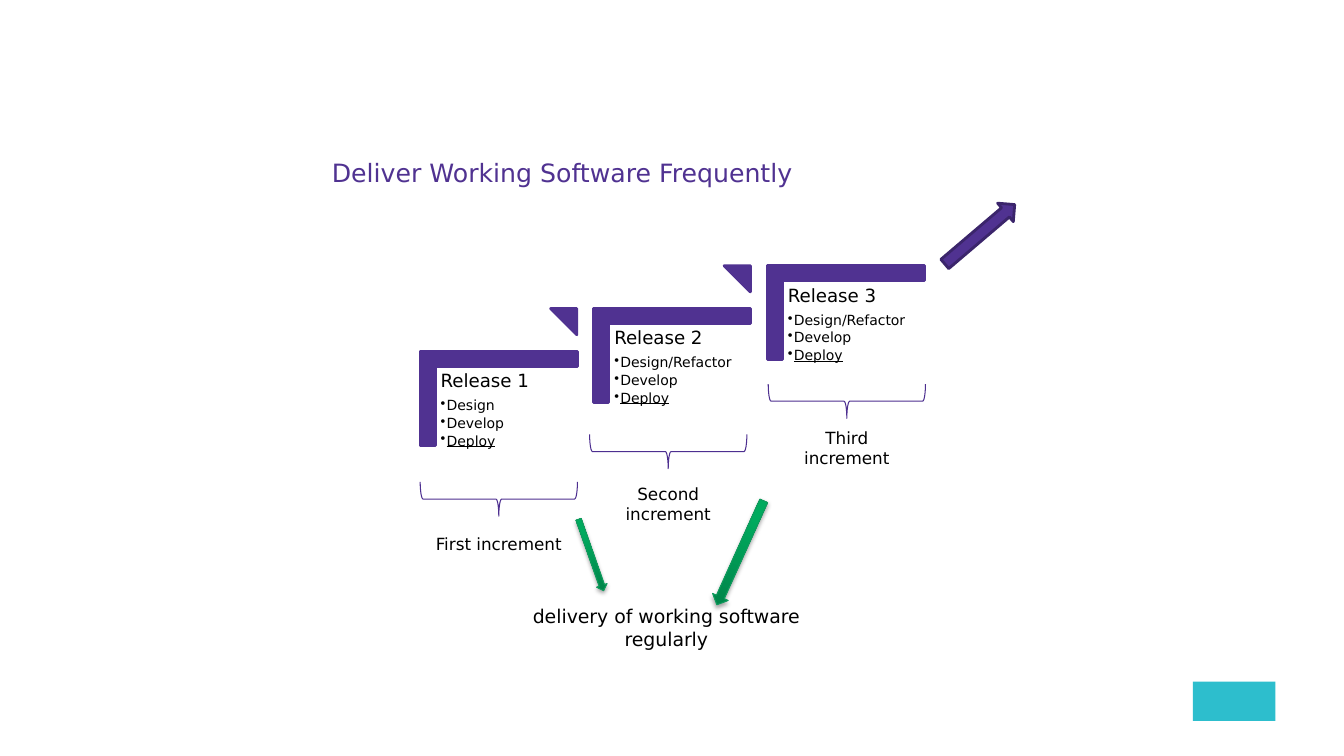
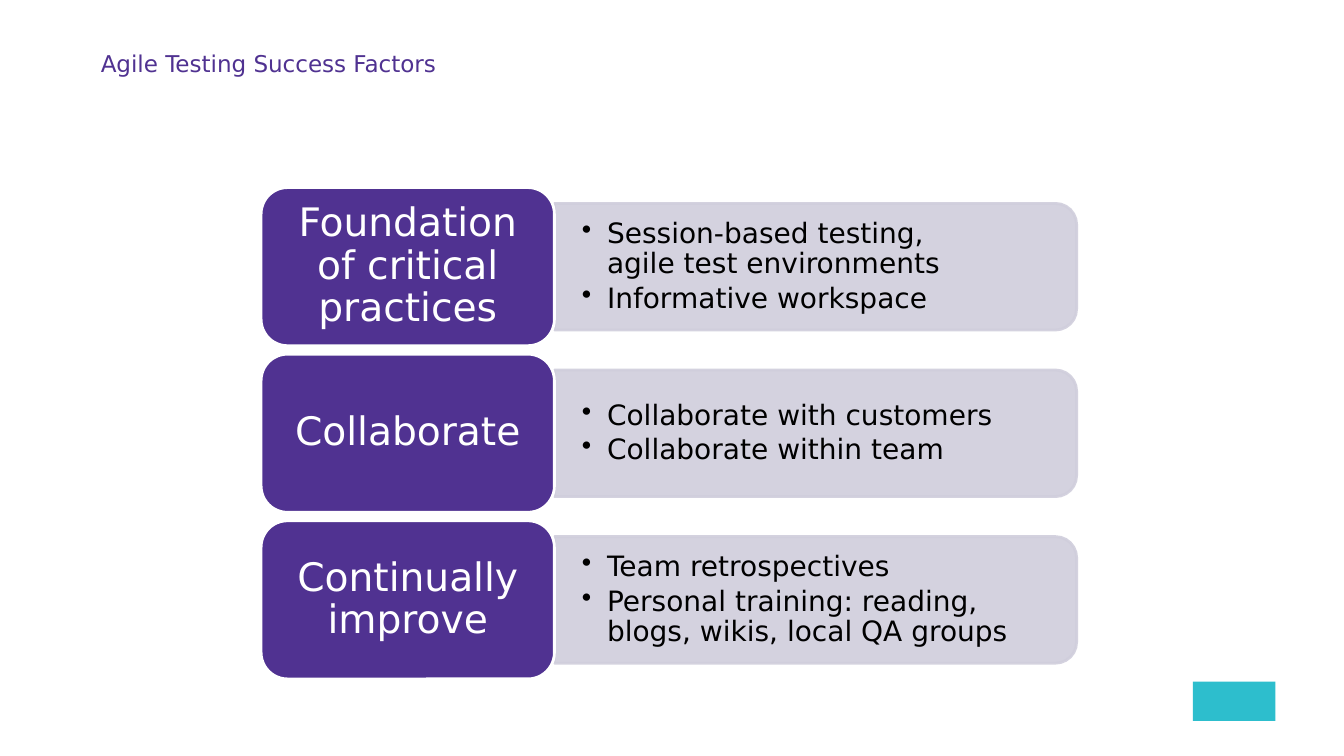
import pptx
import pptx.util
import pptx.dml.color
import pptx.enum.shapes
import pptx.enum.text
import pptx.oxml
import pptx.oxml.ns
import lxml.etree

Pt = pptx.util.Pt
MSO = pptx.enum.shapes.MSO_SHAPE
ANCHOR = pptx.enum.text.MSO_ANCHOR
CENTER = pptx.enum.text.PP_ALIGN.CENTER
FONT = "DejaVu Sans"
COLORS = {
    "purple": "503291", "brace": "4D2F90", "outline": "3B256B",
    "panel": "D0CEDC", "black": "000000", "white": "FFFFFF",
    "green": "00AA5E", "dark_green": "008349", "green_line": "109B5D",
    "teal": "2DBECD",
}


def rgb(name):
    """Return the named colour."""
    return pptx.dml.color.RGBColor.from_string(COLORS[name])


def sub(parent, tag, **attrs):
    """Append a DrawingML element and return it."""
    e = lxml.etree.SubElement(parent, pptx.oxml.ns.qn("a:" + tag))
    for key, value in attrs.items():
        e.set(key, str(value))
    return e


def add_shape(s, kind, box, fill=None, line=None, width=0.75, rot=0, adj=()):
    """Add a preset shape; on a quarter turn the box is the area it covers."""
    x, y, w, h = box
    if rot % 180 == 90:
        x, y, w, h = x + (w - h) / 2, y + (h - w) / 2, h, w
    sp = s.shapes.add_shape(kind, Pt(x), Pt(y), Pt(w), Pt(h))
    sp.shadow.inherit = False
    sp.rotation = rot
    for i, value in enumerate(adj):
        sp.adjustments[i] = value
    if fill:
        sp.fill.solid()
        sp.fill.fore_color.rgb = rgb(fill)
    else:
        sp.fill.background()
    if line:
        sp.line.color.rgb = rgb(line)
        sp.line.width = Pt(width)
    else:
        sp.line.fill.background()
    return sp


def set_frame(sp, insets, anchor=ANCHOR.TOP):
    """Set wrapping, insets (left and right, top and bottom) and anchor."""
    tf = sp.text_frame
    tf.word_wrap = True
    tf.margin_left = tf.margin_right = Pt(insets[0])
    tf.margin_top = tf.margin_bottom = Pt(insets[1])
    tf.vertical_anchor = anchor
    return tf


def add_text(s, box, insets=(7.2, 3.6), anchor=ANCHOR.TOP):
    """Add an empty text box and return its frame."""
    return set_frame(s.shapes.add_textbox(*map(Pt, box)), insets, anchor)


def write(p, text, size, color="black", align=None, spacing=None, after=0, bullet=0):
    """Fill a paragraph; bullet is the hanging indent."""
    if bullet:
        pPr = p._p.get_or_add_pPr()
        pPr.set("marL", str(Pt(bullet)))
        pPr.set("indent", str(-Pt(bullet)))
        sub(pPr, "buChar", char="•")
    p.text = text
    p.alignment = align
    p.line_spacing = spacing
    p.space_after = Pt(after)
    p.font.size = Pt(size)
    p.font.name = FONT
    p.font.color.rgb = rgb(color)


def add_title(s, box, text, size):
    """Add the slide title and the plain corner mark."""
    tf = add_text(s, box, (0, 0), ANCHOR.BOTTOM)
    tf.margin_bottom = Pt(1.4)
    write(tf.paragraphs[0], text, size, "purple", spacing=Pt(18))
    add_shape(s, MSO.RECTANGLE, (852, 487, 59, 28), "teal")


def add_release(s, box, name, tasks, last):
    """Add one stair step with its task list and, unless last, a triangle."""
    x, y, w, h = box
    style = dict(fill="purple", line="purple", width=2)
    add_shape(s, MSO.CORNER, box, rot=90, adj=(0.161, 0.161), **style)
    tf = add_text(s, (x + 11.2, y + 11.2, w - 11.5, h + 21.6), (3.6, 3.6))
    write(tf.paragraphs[0], name, 13, spacing=0.9, after=5)
    for task in tasks:
        p = tf.add_paragraph()
        write(p, task, 10, spacing=0.9, after=1.75, bullet=4.3)
    p.font.underline = True
    if not last:
        add_shape(s, MSO.ISOSCELES_TRIANGLE, (x + w - 19, y - 30.6, 18.7, 18.7),
                  rot=270, adj=(1,), **style)


def add_increment(s, box, text, gap):
    """Add a brace with its caption a gap below."""
    x, y, w, h = box
    add_shape(s, MSO.LEFT_BRACE, box, line="brace", rot=270)
    tf = add_text(s, (x, y + h + gap, w, 22))
    write(tf.paragraphs[0], text, 12, align=CENTER)


def add_green_arrow(s, box, rot):
    """Add a green gradient arrow with a soft shadow."""
    sp = add_shape(s, MSO.DOWN_ARROW, box, "green", "green_line", rot=rot)
    sp.fill.gradient()
    sp.fill.gradient_angle = 90
    for stop, color, pos in zip(sp.fill.gradient_stops, ("dark_green", "green"), (0, 0.8)):
        stop.color.rgb = rgb(color)
        stop.position = pos
    effects = sp._element.spPr.find(pptx.oxml.ns.qn("a:effectLst"))
    shadow = sub(effects, "outerShdw", blurRad=Pt(3.1), dist=Pt(1.8), dir=5400000, rotWithShape=0)
    sub(sub(shadow, "srgbClr", val=COLORS["black"]), "alpha", val=35000)


def add_factor(s, box, name, points):
    """Add a row: a label block and a panel of bullets."""
    x, y, w, h = box
    label_w = 209.5
    px, pw = x + label_w, w - label_w
    sp = add_shape(s, MSO.ROUND_2_SAME_RECTANGLE, (px, y + 11.3, pw, h - 22.6),
                   "panel", "panel", 2, rot=90)
    for clr in sp._element.spPr.iter(pptx.oxml.ns.qn("a:srgbClr")):
        sub(clr, "alpha", val=90000)
    tf = add_text(s, (px, y + 15.7, pw - 4.4, h - 31.4), (19.6, 9.8), ANCHOR.MIDDLE)
    for i, point in enumerate(points):
        p = tf.add_paragraph() if i else tf.paragraphs[0]
        write(p, point, 20, spacing=0.9, after=3, bullet=18)
    sp = add_shape(s, MSO.ROUNDED_RECTANGLE, (x, y, label_w, h), "purple", "white", 2)
    tf = set_frame(sp, (8.4, 4.2), ANCHOR.MIDDLE)
    write(tf.paragraphs[0], name, 28, "white", CENTER, 0.9)


def build_releases(s):
    """Build the slide of rising releases."""
    add_title(s, (237, 67.7, 486, 67.7), "Deliver Working Software Frequently", 18)
    for i, first in enumerate(("Design", "Design/Refactor", "Design/Refactor")):
        add_release(s, (300 + 124 * i, 251 - 30.6 * i, 112.3, 67), f"Release {i + 1}",
                    (first, "Develop", "Deploy"), i == 2)
    for x, y, text, gap in (
        (300.2, 344.2, "First increment", 9.3),
        (421.2, 310.3, "Second\vincrement", 7.2),
        (548.8, 274.3, "Third\vincrement", 2.9),
    ):
        add_increment(s, (x, y, 112.3, 24.5), text, gap)
    add_shape(s, MSO.UP_ARROW, (691.2, 134.6, 17.3, 65.5), "purple", "outline", 2, 49.6)
    add_green_arrow(s, (418.3, 369.4, 7.9, 54), 340.6)
    tf = add_text(s, (358, 428.4, 236, 40.3))
    write(tf.paragraphs[0], "delivery of working software regularly", 13.5, align=CENTER)
    add_green_arrow(s, (522.7, 354.2, 12.2, 81.4), 24.3)


def build_factors(s):
    """Build the slide of success factors."""
    add_title(s, (72, 37.4, 648, 19.4), "Agile Testing Success Factors", 16.5)
    factors = (
        ("Foundation of critical practices",
         ("Session-based testing,\vagile test environments", "Informative workspace")),
        ("Collaborate", ("Collaborate with customers", "Collaborate within team")),
        ("Continually improve",
         ("Team retrospectives", "Personal training: reading, blogs, wikis, local QA groups")),
    )
    for i, (name, points) in enumerate(factors):
        add_factor(s, (186.5, 134 + 119 * i, 582.5, 113), name, points)


def main():
    """Build and save the presentation."""
    prs = pptx.Presentation()
    prs.slide_width, prs.slide_height = Pt(960), Pt(540)
    for build in (build_releases, build_factors):
        build(prs.slides.add_slide(prs.slide_layouts[6]))
    prs.save("out.pptx")


if __name__ == "__main__":
    main()
